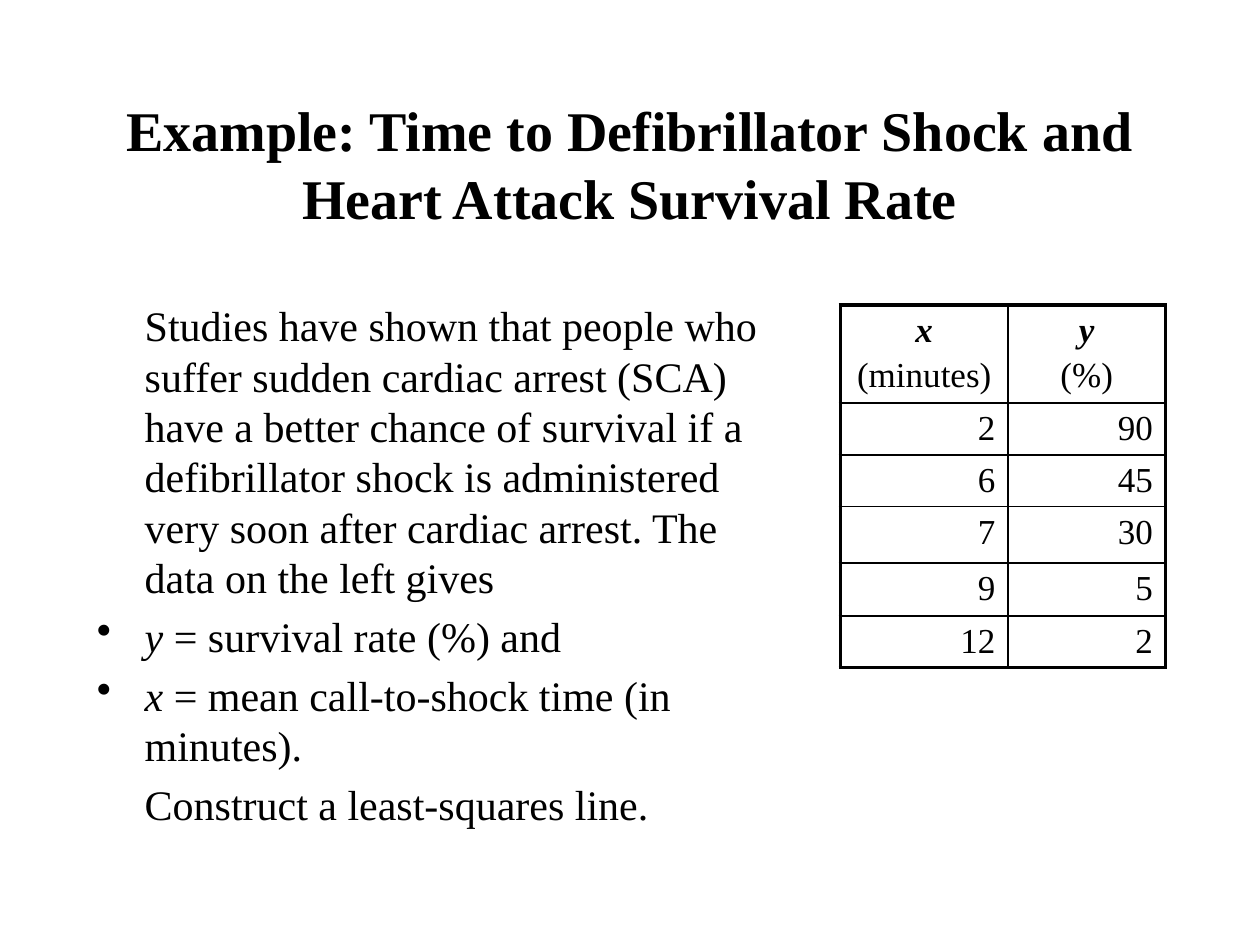
from pptx import Presentation
from pptx.dml.color import RGBColor
from pptx.enum.text import MSO_ANCHOR, MSO_AUTO_SIZE, PP_ALIGN
from pptx.oxml.ns import qn
from pptx.util import Inches, Pt
from lxml import etree

CENTER, RIGHT = PP_ALIGN.CENTER, PP_ALIGN.RIGHT
MIDDLE, TOP = MSO_ANCHOR.MIDDLE, MSO_ANCHOR.TOP
NO_AUTOFIT = MSO_AUTO_SIZE.NONE
FONT = "Times New Roman"
COLORS = {"text": "000000", "border": "000000"}
THICK, THIN = 2.25, 1

TITLE = "Example: Time to Defibrillator Shock and Heart Attack Survival Rate"
BODY = [
    (False, "", "Studies have shown that people who suffer sudden cardiac arrest "
     "(SCA) have a better chance of survival if a defibrillator shock is "
     "administered very soon after cardiac arrest. The data on the left gives"),
    (True, "y ", "= survival rate (%) and"),
    (True, "x ", "= mean call-to-shock time (in minutes)."),
    (False, "", "Construct a least-squares line."),
]
HEADERS = [("x", "(minutes)"), ("y", "(%)")]
DATA = [(2, 90), (6, 45), (7, 30), (9, 5), (12, 2)]
COLUMN_WIDTHS = [1.33, 1.25]
ROW_HEIGHTS = [0.78, 0.41, 0.41, 0.45, 0.42, 0.41]


def add_span(para, text, size, **formats):
    """Add one formatted run to a paragraph."""
    span = para.add_run()
    span.text = text
    for name, value in {"name": FONT, "size": Pt(size), **formats}.items():
        setattr(span.font, name, value)
    span.font.color.rgb = RGBColor.from_string(COLORS["text"])


def get_para(frame, index):
    """Return the first paragraph of a frame, or a new one after it."""
    return frame.add_paragraph() if index else frame.paragraphs[0]


def set_indent(para, bulleted):
    """Indent a paragraph, with a hanging bullet if asked for."""
    margin = Inches(0.38)
    properties = para._p.get_or_add_pPr()
    properties.set("marL", str(margin))
    properties.set("indent", str(-margin if bulleted else 0))
    if bulleted:
        etree.SubElement(properties, qn("a:buChar"), char="•")
    else:
        etree.SubElement(properties, qn("a:buNone"))


def place_title(page, box):
    """Move and fill the title placeholder."""
    title = page.shapes.title
    title.left, title.top, title.width, title.height = map(Inches, box)
    frame = title.text_frame
    frame.auto_size = NO_AUTOFIT
    frame.vertical_anchor = MIDDLE
    para = frame.paragraphs[0]
    para.alignment = CENTER
    para.line_spacing = Pt(38.4)
    add_span(para, TITLE, 32, bold=True)


def place_body(page, box):
    """Write the explanation and the two variable definitions."""
    frame = page.shapes.add_textbox(*map(Inches, box)).text_frame
    frame.word_wrap = True
    frame.auto_size = NO_AUTOFIT
    for index, (bulleted, variable, text) in enumerate(BODY):
        para = get_para(frame, index)
        set_indent(para, bulleted)
        para.line_spacing = Pt(28.8)
        para.space_before = Pt(4.8 if index else 0)
        if variable:
            add_span(para, variable, 24, italic=True)
        add_span(para, text, 24)


def set_borders(cell, widths):
    """Draw the left, right, top and bottom borders of a cell."""
    properties = cell._tc.get_or_add_tcPr()
    for index, (side, width) in enumerate(zip("LRTB", widths)):
        line = etree.Element(qn(f"a:ln{side}"), w=str(Pt(width)))
        fill = etree.SubElement(line, qn("a:solidFill"))
        etree.SubElement(fill, qn("a:srgbClr"), val=COLORS["border"])
        properties.insert(index, line)


def place_table(page, box):
    """Add the data table with a thick outline and thin inner lines."""
    row_count, column_count = len(ROW_HEIGHTS), len(COLUMN_WIDTHS)
    table = page.shapes.add_table(row_count, column_count, *map(Inches, box)).table
    table.first_row = table.horz_banding = False
    for column, width in zip(table.columns, COLUMN_WIDTHS):
        column.width = Inches(width)
    for row, height in zip(table.rows, ROW_HEIGHTS):
        row.height = Inches(height)
    for row, values in enumerate([HEADERS, *DATA]):
        for column, value in enumerate(values):
            cell = table.cell(row, column)
            cell.fill.background()
            cell.vertical_anchor = TOP
            lines = [str(value)] if row else value
            for index, text in enumerate(lines):
                para = get_para(cell.text_frame, index)
                para.alignment = RIGHT if row else CENTER
                para.space_before = Pt(3.6 if index else 0)
                is_variable = row == 0 and index == 0
                add_span(para, text, 20, bold=is_variable, italic=is_variable)
            outer = (column == 0, column == column_count - 1,
                     row == 0, row == row_count - 1)
            set_borders(cell, [THICK if edge else THIN for edge in outer])


def main():
    """Build and save the slide."""
    deck = Presentation()
    deck.slide_width, deck.slide_height = Inches(10), Inches(7.5)
    page = deck.slides.add_slide(deck.slide_layouts[5])
    place_title(page, (0.75, 0.67, 8.5, 1.25))
    place_body(page, (0.67, 2.33, 5.58, 4.5))
    place_table(page, (6.67, 2.42, sum(COLUMN_WIDTHS), sum(ROW_HEIGHTS)))
    deck.save("out.pptx")


if __name__ == "__main__":
    main()
